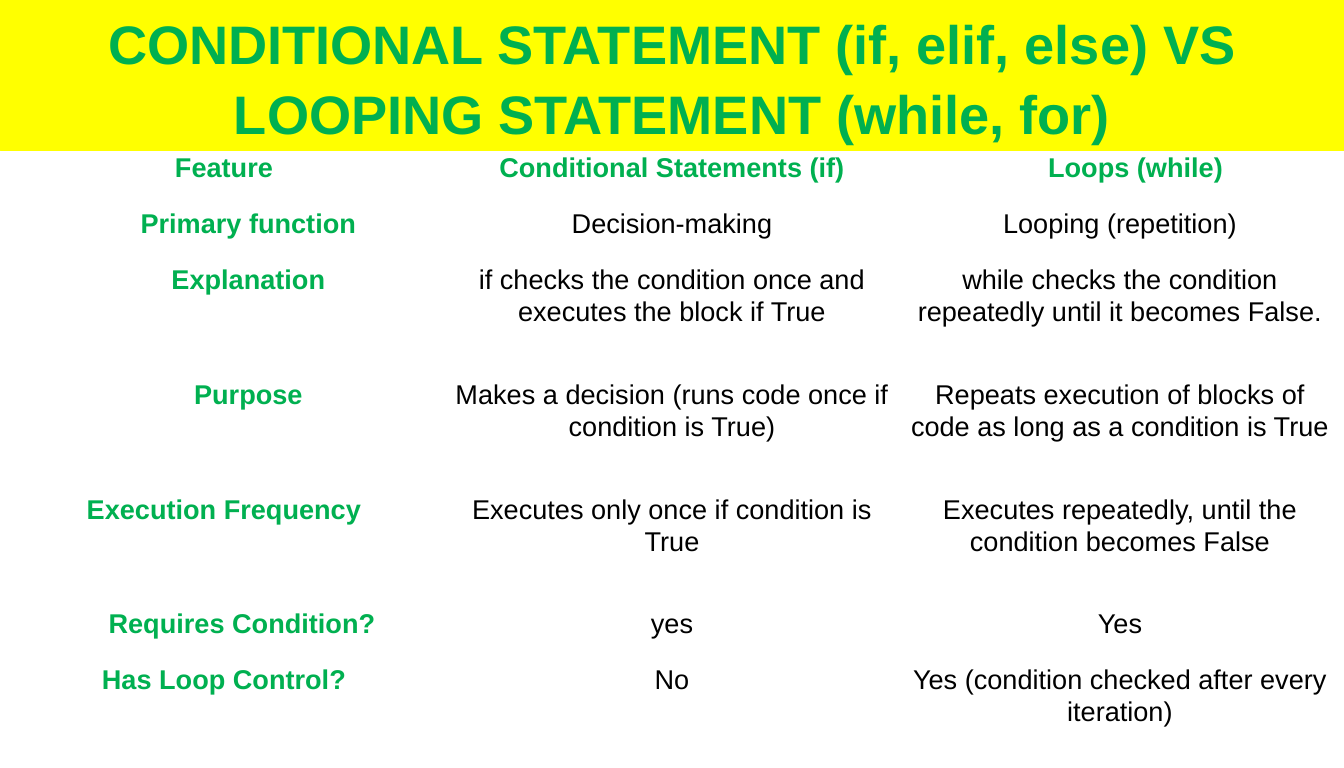
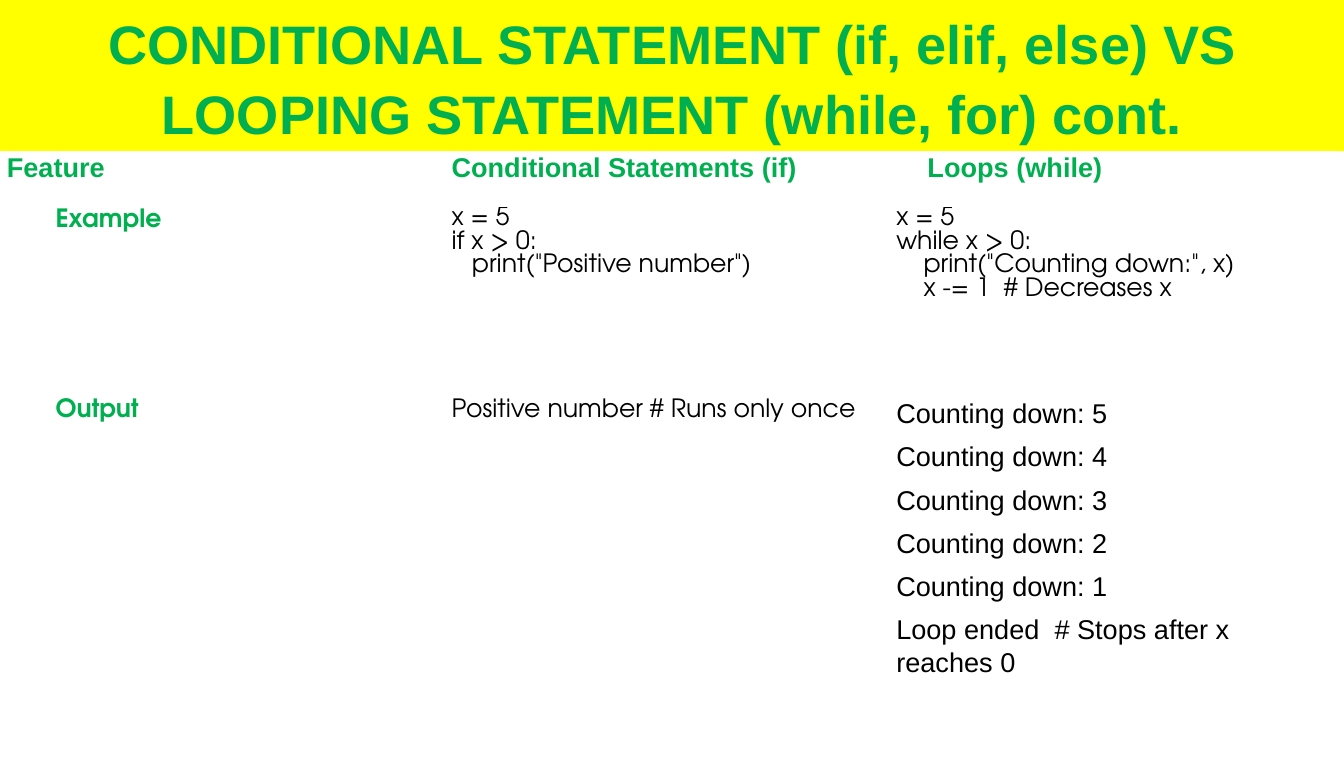
from dataclasses import dataclass

from pptx import Presentation
from pptx.dml.color import RGBColor
from pptx.enum.text import MSO_ANCHOR, MSO_AUTO_SIZE, PP_ALIGN
from pptx.util import Inches, Pt

LEFT, CENTER = PP_ALIGN.LEFT, PP_ALIGN.CENTER
MIDDLE = MSO_ANCHOR.MIDDLE
NO_AUTOFIT = MSO_AUTO_SIZE.NONE

WIDTH, HEIGHT, BAND_HEIGHT = 13.78, 7.87, 1.55
TITLE_ONLY = 5
COLORS = {"band": "FFFF00", "heading": "00B050", "body": "000000", "paper": "FFFFFF"}


@dataclass
class Line:
    """One paragraph of a table cell."""
    text: str
    indent: float = 0
    font: str = "Arial"
    size: float = 20
    spacing: float = 1.07
    after: float = 8


def geometric(text, indent=0, spacing=1.07, after=8):
    """Return a line in the geometric typeface."""
    return Line(text, indent, "TeX Gyre Adventor", 18.6, spacing, after)


def code(text, indent=0):
    """Return a tightly set line of code."""
    return geometric(text, indent, 1.0, 0)


class Deck:
    """Holds the shared style and the current slide."""

    def __init__(self):
        """Start a presentation of the right size."""
        self.presentation = Presentation()
        self.presentation.slide_width = Inches(WIDTH)
        self.presentation.slide_height = Inches(HEIGHT)
        self.slide = None

    def set_line(self, paragraph, line, color, bold, alignment):
        """Fill and format one paragraph."""
        paragraph.text = line.text
        paragraph.alignment = alignment
        paragraph.line_spacing = line.spacing
        paragraph.space_before = Pt(0)
        paragraph.space_after = Pt(line.after)
        if line.indent:
            paragraph._p.get_or_add_pPr().set("marL", str(Inches(line.indent)))
        font = paragraph.font
        font.name, font.size, font.bold = line.font, Pt(line.size), bold
        font.color.rgb = RGBColor.from_string(COLORS[color])

    def paint(self, target, color):
        """Give a shape or a cell a solid fill."""
        target.fill.solid()
        target.fill.fore_color.rgb = RGBColor.from_string(COLORS[color])

    def add_slide(self, text):
        """Add a slide with its title band."""
        layout = self.presentation.slide_layouts[TITLE_ONLY]
        self.slide = self.presentation.slides.add_slide(layout)
        title = self.slide.shapes.title
        title.left, title.top = Inches(0), Inches(0)
        title.width, title.height = Inches(WIDTH), Inches(BAND_HEIGHT)
        self.paint(title, "band")
        frame = title.text_frame
        frame.auto_size, frame.word_wrap = NO_AUTOFIT, True
        frame.vertical_anchor = MIDDLE
        self.set_line(frame.paragraphs[0], Line(text, size=40), "heading", True, CENTER)

    def add_cell(self, cell, content, is_heading, alignment):
        """Fill one table cell from a string, a line or a list of lines."""
        self.paint(cell, "paper")
        cell.margin_left = cell.margin_right = Inches(0.07)
        cell.margin_top = cell.margin_bottom = Inches(0)
        lines = content if isinstance(content, list) else [content]
        frame = cell.text_frame
        for index, line in enumerate(lines):
            paragraph = frame.add_paragraph() if index else frame.paragraphs[0]
            line = Line(line) if isinstance(line, str) else line
            color = "heading" if is_heading else "body"
            self.set_line(paragraph, line, color, is_heading, alignment)

    def add_table(self, width, heights, rows, alignment):
        """Add a comparison table with equal columns below the band."""
        columns = len(rows[0])
        table = self.slide.shapes.add_table(
            len(rows), columns, Inches(0), Inches(BAND_HEIGHT),
            Inches(width), Inches(sum(heights))).table
        table.horz_banding = False
        for column in table.columns:
            column.width = Inches(width / columns)
        for row_index, (height, row) in enumerate(zip(heights, rows)):
            table.rows[row_index].height = Inches(height)
            for column_index, content in enumerate(row):
                is_heading = row_index == 0 or column_index == 0
                self.add_cell(table.cell(row_index, column_index), content,
                              is_heading, alignment)


def main():
    """Build both comparison slides."""
    title = "CONDITIONAL STATEMENT (if, elif, else) VS LOOPING STATEMENT (while, for)"
    header = ["Feature", "Conditional Statements (if)", Line("Loops (while)", 0.32)]
    features = [
        header,
        [Line("Primary function", 0.5), "Decision-making", "Looping (repetition)"],
        [Line("Explanation", 0.5),
         "if checks the condition once and executes the block if True",
         "while checks the condition repeatedly until it becomes False."],
        [Line("Purpose", 0.5),
         "Makes a decision (runs code once if condition is True)",
         "Repeats execution of blocks of code as long as a condition is True"],
        ["Execution Frequency",
         "Executes only once if condition is True",
         "Executes repeatedly, until the condition becomes False"],
        [Line("Requires Condition?", 0.37), "yes", "Yes"],
        ["Has Loop Control?", "No", "Yes (condition checked after every iteration)"],
    ]
    countdown = [f"Counting down: {number}" for number in range(5, 0, -1)]
    examples = [
        header,
        [geometric("Example", 0.5),
         [code("x = 5"), code("if x > 0:"), code('print("Positive number")', 0.21)],
         [code("x = 5"), code("while x > 0:"),
          code('print("Counting down:", x)', 0.28),
          code("x -= 1  # Decreases x", 0.28)]],
        [geometric("Output", 0.5),
         geometric("Positive number # Runs only once"),
         countdown + ["Loop ended  # Stops after x reaches 0"]],
    ]

    deck = Deck()
    deck.add_slide(title)
    deck.add_table(WIDTH, [0.57, 0.57, 1.18, 1.18, 1.17, 0.57, 1.08], features, CENTER)
    deck.add_slide(f"{title} cont.")
    deck.add_table(13.68, [0.57, 1.95, 3.8], examples, LEFT)
    deck.presentation.save("out.pptx")


if __name__ == "__main__":
    main()
